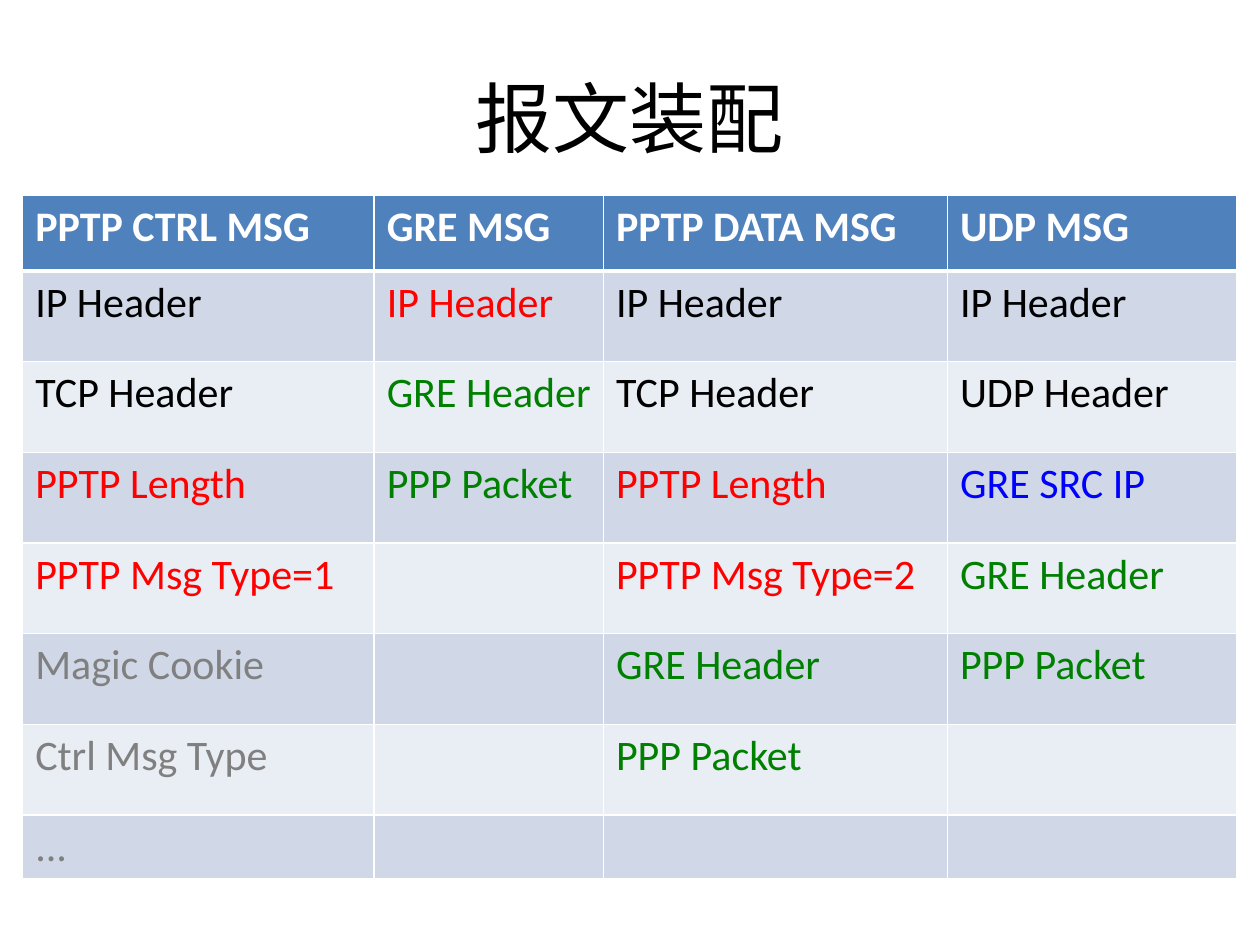
from dataclasses import dataclass

from lxml.etree import SubElement
from pptx import Presentation
from pptx.dml.color import RGBColor
from pptx.enum.text import MSO_ANCHOR, PP_ALIGN
from pptx.oxml.ns import qn
from pptx.slide import Slide
from pptx.table import _Cell as Cell
from pptx.util import Inches, Pt


@dataclass(frozen=True)
class Theme:
    font: str = "Calibri"
    title_size: int = 44
    table_size: int = 24
    black: str = "000000"
    white: str = "FFFFFF"
    red: str = "FF0000"
    green: str = "008000"
    blue: str = "0000FF"
    gray: str = "808080"
    header_fill: str = "4F81BD"
    band_fills: tuple[str, str] = ("D0D8E8", "E9EDF4")
    thin_border: int = 1
    header_border: int = 3


@dataclass(frozen=True)
class Field:
    text: str
    color: str


@dataclass(frozen=True)
class Message:
    name: str
    width: float
    fields: tuple[Field, ...]


THEME = Theme()
IP_HEADER = Field("IP Header", THEME.black)
TCP_HEADER = Field("TCP Header", THEME.black)
PPTP_LENGTH = Field("PPTP Length", THEME.red)
GRE_HEADER = Field("GRE Header", THEME.green)
PPP_PACKET = Field("PPP Packet", THEME.green)

MESSAGES = (
    Message("PPTP CTRL MSG", 2.79, (
        IP_HEADER, TCP_HEADER, PPTP_LENGTH,
        Field("PPTP Msg Type=1", THEME.red),
        Field("Magic Cookie", THEME.gray),
        Field("Ctrl Msg Type", THEME.gray),
        Field("...", THEME.gray),
    )),
    Message("GRE MSG", 1.82, (
        Field("IP Header", THEME.red), GRE_HEADER, PPP_PACKET,
    )),
    Message("PPTP DATA MSG", 2.73, (
        IP_HEADER, TCP_HEADER, PPTP_LENGTH,
        Field("PPTP Msg Type=2", THEME.red), GRE_HEADER, PPP_PACKET,
    )),
    Message("UDP MSG", 2.3, (
        IP_HEADER, Field("UDP Header", THEME.black),
        Field("GRE SRC IP", THEME.blue), GRE_HEADER, PPP_PACKET,
    )),
)
ROW_HEIGHTS = (0.6, *[0.72] * 6, 0.44)


def add_title(slide: Slide, text: str) -> None:
    title = slide.shapes.title
    title.left, title.top = Inches(0.5), Inches(0.3)
    title.width, title.height = Inches(9), Inches(1.25)
    title.text_frame.text = text
    title.text_frame.vertical_anchor = MSO_ANCHOR.MIDDLE
    paragraph = title.text_frame.paragraphs[0]
    paragraph.alignment = PP_ALIGN.CENTER
    font = paragraph.runs[0].font
    font.name, font.size = THEME.font, Pt(THEME.title_size)
    font.color.rgb = RGBColor.from_string(THEME.black)


def add_borders(cell: Cell, top: int, bottom: int) -> None:
    properties = cell._tc.get_or_add_tcPr()
    widths = {"L": THEME.thin_border, "R": THEME.thin_border, "T": top, "B": bottom}
    for side, width in widths.items():
        line = SubElement(properties, qn(f"a:ln{side}"), w=str(Pt(width)))
        fill = SubElement(line, qn("a:solidFill"))
        SubElement(fill, qn("a:srgbClr"), val=THEME.white)


def format_cell(cell: Cell, field: Field | None, row: int) -> None:
    is_header = row == 0
    add_borders(
        cell,
        top=THEME.header_border if row == 1 else THEME.thin_border,
        bottom=THEME.header_border if is_header else THEME.thin_border,
    )
    fill = THEME.header_fill if is_header else THEME.band_fills[(row - 1) % 2]
    cell.fill.solid()
    cell.fill.fore_color.rgb = RGBColor.from_string(fill)
    if field is None:
        return
    cell.text_frame.text = field.text
    font = cell.text_frame.paragraphs[0].runs[0].font
    font.name, font.size, font.bold = THEME.font, Pt(THEME.table_size), is_header
    font.color.rgb = RGBColor.from_string(field.color)


def add_message_table(slide: Slide, messages: tuple[Message, ...]) -> None:
    table = slide.shapes.add_table(
        len(ROW_HEIGHTS), len(messages), Inches(0.18), Inches(1.55),
        Inches(sum(message.width for message in messages)),
        Inches(sum(ROW_HEIGHTS)),
    ).table
    for row, height in zip(table.rows, ROW_HEIGHTS):
        row.height = Inches(height)
    for column, message in enumerate(messages):
        table.columns[column].width = Inches(message.width)
        fields = (Field(message.name, THEME.white), *message.fields)
        for row in range(len(ROW_HEIGHTS)):
            field = fields[row] if row < len(fields) else None
            format_cell(table.cell(row, column), field, row)


def main() -> None:
    presentation = Presentation()
    presentation.slide_width, presentation.slide_height = Inches(10), Inches(7.5)
    slide = presentation.slides.add_slide(presentation.slide_layouts[5])
    add_title(slide, "报文装配")
    add_message_table(slide, MESSAGES)
    presentation.save("out.pptx")


if __name__ == "__main__":
    main()
